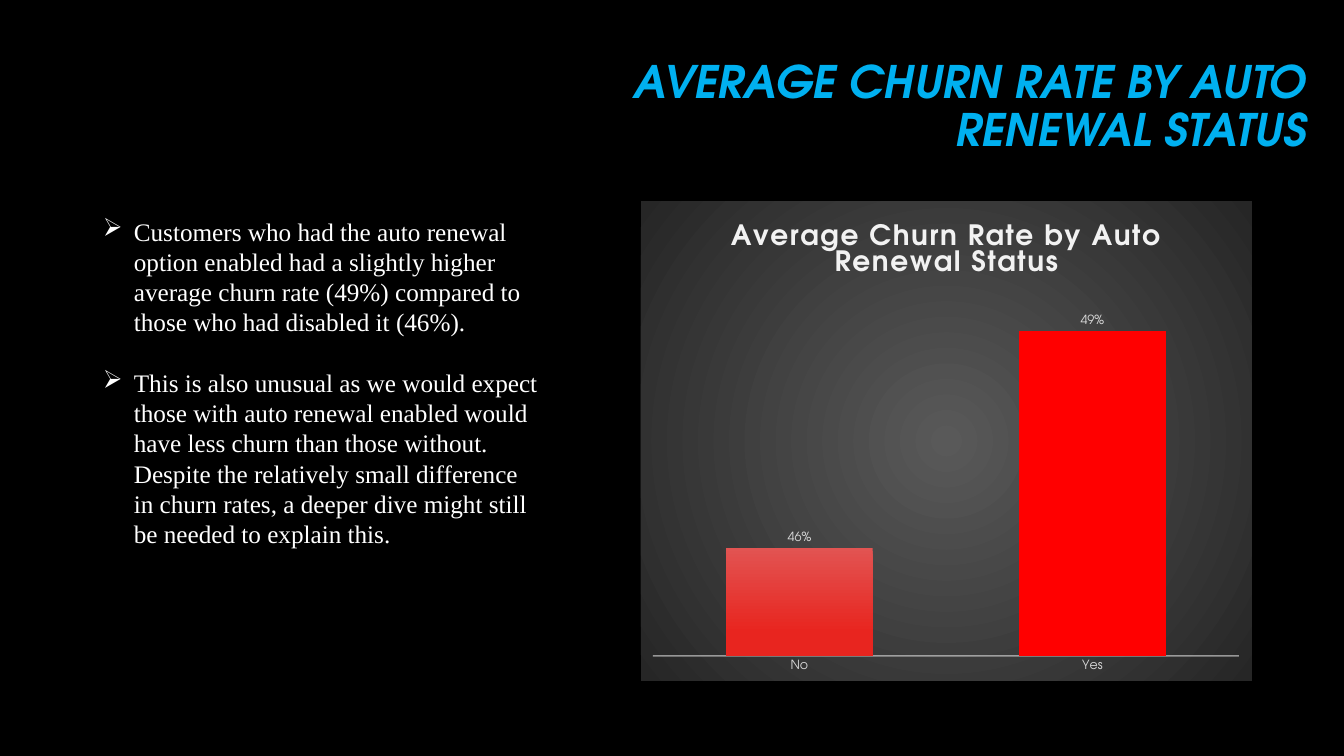
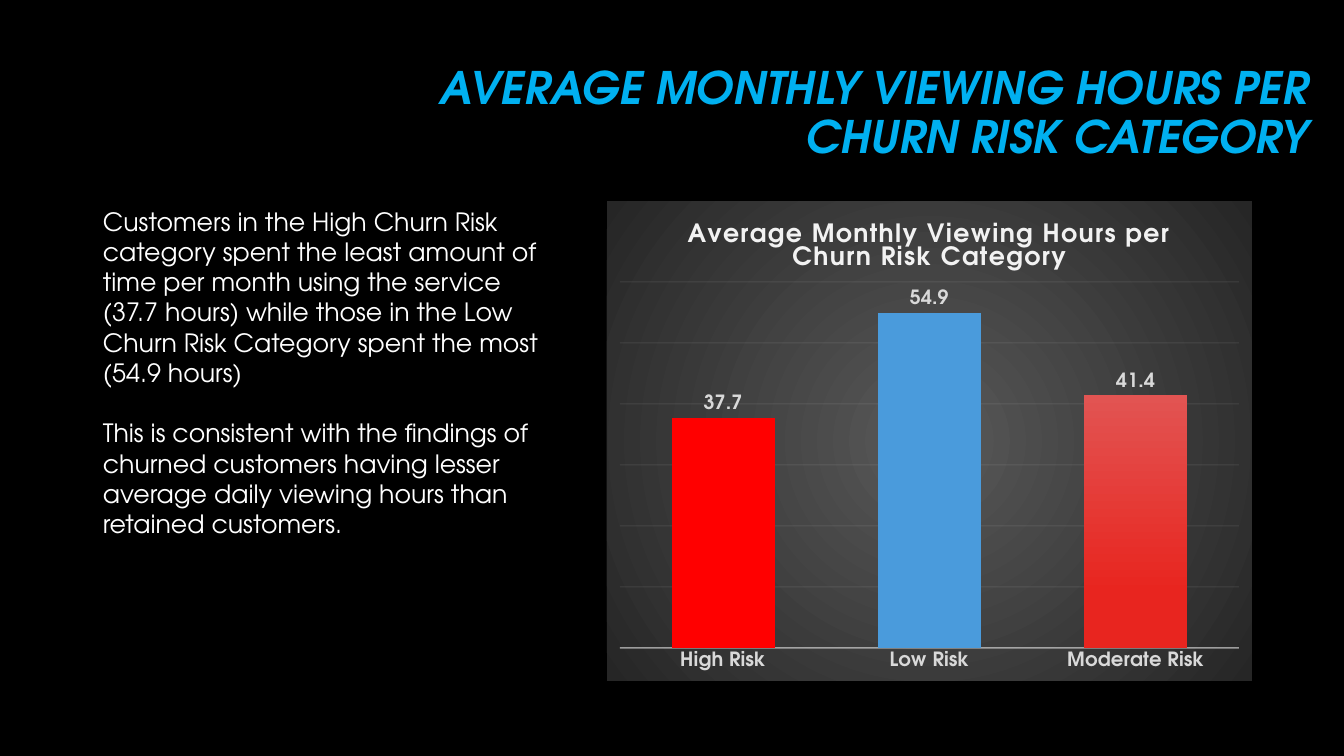
"""Build two slides on churn, each with a title, body text and a column chart."""
from lxml.etree import SubElement, fromstring
from pptx import Presentation
from pptx.chart.data import CategoryChartData as Data
from pptx.dml.color import RGBColor as Rgb
from pptx.enum.chart import XL_CHART_TYPE as Kind, XL_LABEL_POSITION as Spot, XL_TICK_MARK as Tick
from pptx.enum.text import MSO_ANCHOR as Anchor, MSO_AUTO_SIZE as Auto, PP_ALIGN as Align
from pptx.oxml.ns import qn
from pptx.util import Pt

SANS, SERIF = "TeX Gyre Adventor", "Times New Roman"
HUE = dict(back="000000", title="00B0F0", text="FFFFFF", label="D9D9D9", line="F2F2F2",
           red="FF0000", blue="4A9BDC", top="E25452", base="E8251F", mid="595959", edge="262626")
NS = ('xmlns:c="http://schemas.openxmlformats.org/drawingml/2006/chart" '
      'xmlns:a="http://schemas.openxmlformats.org/drawingml/2006/main"')

SLIDES = [
    dict(
        title="AVERAGE CHURN RATE BY AUTO RENEWAL STATUS", head=(424, 48, 893, 120),
        body=["Customers who had the auto renewal option enabled had a slightly higher average "
              "churn rate (49%) compared to those who had disabled it (46%).",
              "This is also unusual as we would expect those with auto renewal enabled would have "
              "less churn than those without. Despite the relatively small difference in churn "
              "rates, a deeper dive might still be needed to explain this."],
        box=(93, 211, 457, 377), font=SERIF, bullet="➢",
        chart=dict(title="Average Churn Rate by Auto Renewal Status", size=20,
                   at=(641, 201, 611, 480), plot=(653, 295, 586, 361),
                   cats=["No", "Yes"], vals=[0.46, 0.49], points={1: "red"}, fmt="0%",
                   scale=(0.445, 0.495, 0.01), grid=False, label=9, bold=False)),
    dict(
        title="AVERAGE MONTHLY VIEWING HOURS PER CHURN RISK CATEGORY", head=(369, 59, 950, 111),
        body=["Customers in the High Churn Risk category spent the least amount of time per month "
              "using the service (37.7 hours) while those in the Low Churn Risk Category spent "
              "the most (54.9 hours)",
              "This is consistent with the findings of churned customers having lesser average "
              "daily viewing hours than retained customers."],
        box=(93, 201, 456, 407), font=SANS, bullet=None,
        chart=dict(title="Average Monthly Viewing Hours per Churn Risk Category", size=18,
                   at=(607, 201, 645, 480), plot=(620, 282, 619, 366),
                   cats=["High Risk", "Low Risk", "Moderate Risk"], vals=[37.7, 54.9, 41.4],
                   points={0: "red", 1: "blue"}, fmt="0.0",
                   scale=(0, 60, 10), grid=True, label=14, bold=True)),
]


def px(n):
    return round(n * 914400 / 100.8)


def rgb(name):
    return Rgb.from_string(HUE[name])


def style(font, size, hue, face=SANS, bold=False, italic=False):
    font.size, font.name, font.bold, font.italic = Pt(size), face, bold, italic
    font.color.rgb = rgb(hue)


def text(frame, paras, size, hue, align=None, lead=None, gap=0, bullet=None, **look):
    for i, words in enumerate(paras):
        par = frame.add_paragraph() if i else frame.paragraphs[0]
        run = par.add_run()
        run.text = words
        style(run.font, size, hue, **look)
        if align:
            par.alignment = align
        if lead:
            par.line_spacing = lead
        if i and gap:
            par.space_before = Pt(gap)
        if bullet:
            props = par._p.get_or_add_pPr()
            props.set("marL", str(px(31)))
            props.set("indent", str(-px(31)))
            SubElement(props, qn("a:buChar")).set("char", bullet)


def rule(line, width):
    line.color.rgb = rgb("line")
    line.width = Pt(width)


def fade(root, where, part):
    for clr in root.xpath(f"c:chart/c:plotArea/{where}//a:srgbClr"):
        SubElement(clr, qn("a:alpha")).set("val", str(part * 1000))


def backdrop(root):
    stops = "".join(f'<a:gs pos="{pos}"><a:srgbClr val="{HUE[hue]}"/></a:gs>'
                    for pos, hue in ((0, "mid"), (100000, "edge")))
    root.find(qn("c:chart")).addnext(fromstring(
        f'<c:spPr {NS}><a:gradFill><a:gsLst>{stops}</a:gsLst><a:path path="circle">'
        '<a:fillToRect l="50000" t="50000" r="50000" b="50000"/></a:path></a:gradFill>'
        '<a:ln><a:noFill/></a:ln></c:spPr>'))


def place(root, at, plot):
    area = root.find(qn("c:chart")).find(qn("c:plotArea"))
    for old in area.findall(qn("c:layout")):
        area.remove(old)
    x, y, w, h = at
    left, top, wide, high = plot
    parts = dict(x=(left - x) / w, y=(top - y) / h, w=wide / w, h=high / h)
    sizes = "".join(f'<c:{k} val="{v:.4f}"/>' for k, v in parts.items())
    area.insert(0, fromstring(
        f'<c:layout {NS}><c:manualLayout><c:layoutTarget val="inner"/>'
        f'<c:xMode val="edge"/><c:yMode val="edge"/>{sizes}</c:manualLayout></c:layout>'))


def columns(slide, item):
    data = Data(number_format=item["fmt"])
    data.categories = item["cats"]
    data.add_series("Series 1", item["vals"])
    chart = slide.shapes.add_chart(Kind.COLUMN_CLUSTERED, *map(px, item["at"]), data).chart
    root = chart.element
    style(chart.font, 10, "text")
    chart.has_legend = False
    text(chart.chart_title.text_frame, [item["title"]], item["size"], "line", bold=True)
    root.xpath("c:chart/c:title//a:rPr")[0].set("spc", "100")

    plot = chart.plots[0]
    plot.vary_by_categories = False
    plot.gap_width, plot.overlap = 100, -24
    plot.has_data_labels = True
    tags = plot.data_labels
    tags.show_value, tags.position = True, Spot.OUTSIDE_END
    tags.number_format, tags.number_format_is_linked = item["fmt"], False
    style(tags.font, item["label"], "label", bold=item["bold"])

    bars = plot.series[0]
    fill = bars.format.fill
    fill.gradient()
    fill.gradient_angle = 270
    for stop, pos, hue in zip(fill.gradient_stops, (0, 0.78), ("top", "base")):
        stop.position, stop.color.rgb = pos, rgb(hue)
    for i, hue in item["points"].items():
        spot = bars.points[i].format.fill
        spot.solid()
        spot.fore_color.rgb = rgb(hue)

    cat, val = chart.category_axis, chart.value_axis
    cat.major_tick_mark = Tick.NONE
    style(cat.tick_labels.font, item["label"], "label", bold=item["bold"])
    rule(cat.format.line, 1)
    val.minimum_scale, val.maximum_scale, val.major_unit = item["scale"]
    val.has_major_gridlines = item["grid"]
    if item["grid"]:
        rule(val.major_gridlines.format.line, 0.75)
    val.visible = False
    fade(root, "c:catAx/c:spPr", 54)
    fade(root, "c:valAx/c:majorGridlines", 10)
    backdrop(root)
    place(root, item["at"], item["plot"])


def build(deck, item):
    slide = deck.slides.add_slide(deck.slide_layouts[5])
    head = slide.shapes.title
    head.left, head.top, head.width, head.height = map(px, item["head"])
    frame = head.text_frame
    frame.auto_size, frame.vertical_anchor = Auto.NONE, Anchor.MIDDLE
    text(frame, [item["title"]], 32, "title", align=Align.RIGHT, lead=0.9, bold=True, italic=True)
    columns(slide, item["chart"])
    frame = slide.shapes.add_textbox(*map(px, item["box"])).text_frame
    frame.word_wrap = True
    text(frame, item["body"], 18, "text", lead=Pt(21.6), gap=21.6,
         face=item["font"], bullet=item["bullet"])


def main():
    deck = Presentation()
    deck.slide_width, deck.slide_height = px(1344), px(756)
    back = deck.slide_master.background.fill
    back.solid()
    back.fore_color.rgb = rgb("back")
    for item in SLIDES:
        build(deck, item)
    deck.save("out.pptx")


if __name__ == "__main__":
    main()
